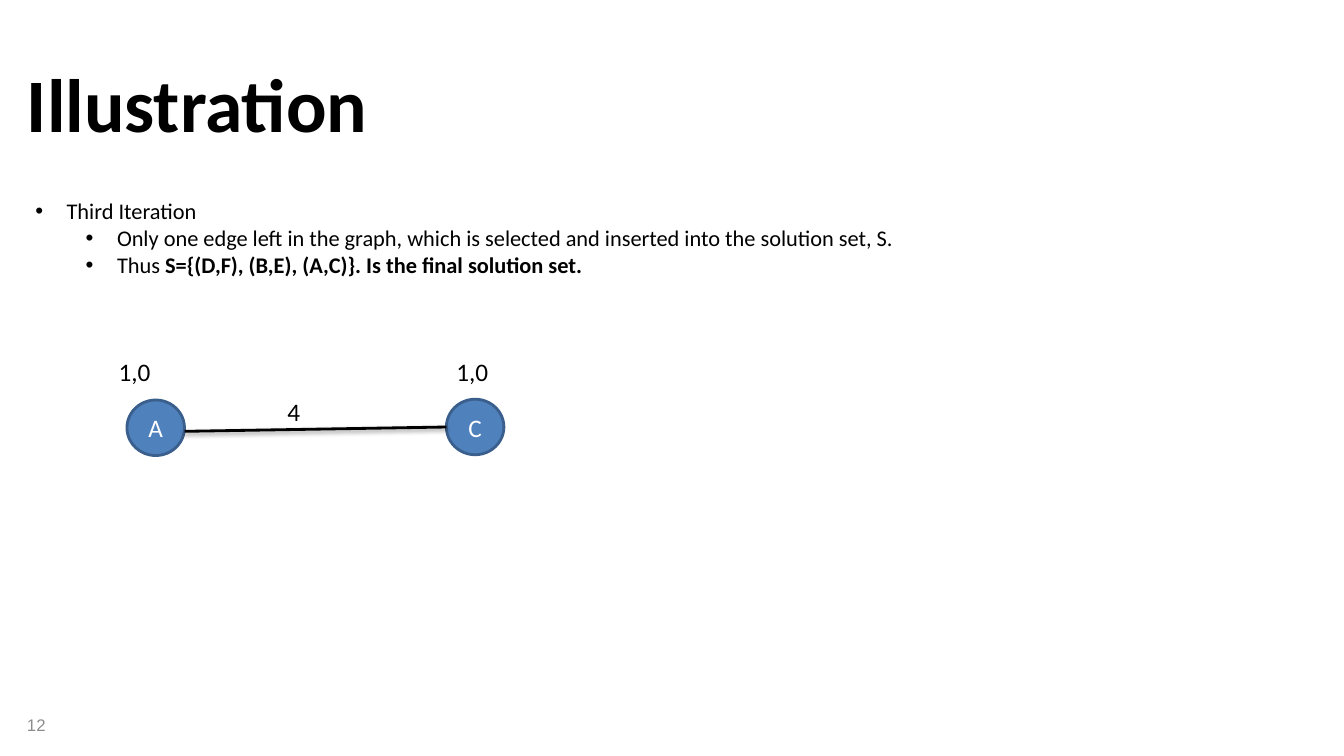
from dataclasses import dataclass

import lxml.etree
import pptx
import pptx.dml.color
import pptx.enum.shapes
import pptx.enum.text
import pptx.oxml
import pptx.oxml.ns
import pptx.util

Cm = pptx.util.Cm
Pt = pptx.util.Pt
RGBColor = pptx.dml.color.RGBColor
Anchor = pptx.enum.text.MSO_ANCHOR

BLACK = RGBColor(0x00, 0x00, 0x00)
WHITE = RGBColor(0xFF, 0xFF, 0xFF)
GREY = RGBColor(0x8C, 0x8C, 0x8C)
NODE_FILL = RGBColor(0x4F, 0x81, 0xBD)
NODE_LINE = RGBColor(0x3A, 0x5F, 0x8C)

NODE_WIDTH, NODE_HEIGHT = 1.45, 1.4
LABEL_WIDTH, LABEL_HEIGHT = 3.68, 1.04

TITLE = {"name": "Calibri", "size": Pt(54), "bold": True}
BODY = {"name": "Calibri", "size": Pt(16), "bold": False}
GRAPH = {"name": "Calibri", "size": Pt(18), "bold": False}
NUMBER = {"name": "Arial", "size": Pt(12), "bold": False}

EDGE_SHADOW = (
    f'<a:effectLst {pptx.oxml.ns.nsdecls("a")}>'
    '<a:outerShdw blurRad="40000" dist="20000" dir="5400000" rotWithShape="0">'
    '<a:srgbClr val="000000"><a:alpha val="38000"/></a:srgbClr>'
    "</a:outerShdw></a:effectLst>"
)


@dataclass(frozen=True)
class Caption:
    text: str
    left: float
    top: float
    width: float
    height: float
    style: dict
    color: RGBColor = BLACK
    anchor: Anchor = Anchor.TOP


@dataclass(frozen=True)
class Node:
    name: str
    left: float
    top: float


@dataclass(frozen=True)
class Bullet:
    level: int
    indent: float
    text: str
    bold_text: str = ""


CAPTIONS = [
    Caption("Illustration", 0.43, 1.3, 22.4, 2.57, TITLE),
    Caption("12", 0.43, 17.75, 10.72, 1.02, NUMBER, GREY, Anchor.MIDDLE),
    Caption("1,0", 11.25, 8.86, LABEL_WIDTH, LABEL_HEIGHT, GRAPH),
    Caption("1,0", 2.74, 8.86, LABEL_WIDTH, LABEL_HEIGHT, GRAPH),
    Caption("4", 6.99, 9.86, LABEL_WIDTH, LABEL_HEIGHT, GRAPH),
]
NODES = [Node("A", 3.2, 10.08), Node("C", 11.25, 10.06)]
BULLETS = [
    Bullet(0, 0.79, "Third Iteration"),
    Bullet(
        1,
        2.06,
        "Only one edge left in the graph, which is selected and inserted "
        "into the solution set, S.",
    ),
    Bullet(1, 2.06, "Thus ", "S={(D,F), (B,E), (A,C)}. Is the final solution set."),
]


def add_span(para, text: str, style: dict, color: RGBColor) -> None:
    span = para.add_run()
    span.text = text
    for attribute, value in style.items():
        setattr(span.font, attribute, value)
    span.font.color.rgb = color


def add_box(page, left: float, top: float, width: float, height: float):
    box = page.shapes.add_textbox(Cm(left), Cm(top), Cm(width), Cm(height))
    box.text_frame.word_wrap = True
    return box


def draw_caption(page, caption: Caption) -> None:
    box = add_box(page, caption.left, caption.top, caption.width, caption.height)
    box.text_frame.vertical_anchor = caption.anchor
    add_span(box.text_frame.paragraphs[0], caption.text, caption.style, caption.color)


def set_bullet(para, indent: float) -> None:
    properties = para._p.get_or_add_pPr()
    properties.set("marL", str(Cm(indent)))
    properties.set("indent", str(-Cm(0.79)))
    qualified = pptx.oxml.ns.qn
    lxml.etree.SubElement(properties, qualified("a:buFont"), typeface="Arial")
    lxml.etree.SubElement(properties, qualified("a:buChar"), char="•")


def draw_bullets(page, bullets: list[Bullet]) -> None:
    frame = add_box(page, 0.64, 4.85, 33.23, 4.37).text_frame
    for index, bullet in enumerate(bullets):
        para = frame.add_paragraph() if index else frame.paragraphs[0]
        para.level = bullet.level
        set_bullet(para, bullet.indent)
        add_span(para, bullet.text, BODY, BLACK)
        if bullet.bold_text:
            add_span(para, bullet.bold_text, BODY | {"bold": True}, BLACK)


def draw_node(page, node: Node) -> None:
    oval = page.shapes.add_shape(
        pptx.enum.shapes.MSO_SHAPE.OVAL,
        Cm(node.left),
        Cm(node.top),
        Cm(NODE_WIDTH),
        Cm(NODE_HEIGHT),
    )
    oval.shadow.inherit = False
    oval.fill.solid()
    oval.fill.fore_color.rgb = NODE_FILL
    oval.line.color.rgb = NODE_LINE
    oval.line.width = Pt(2)
    oval.text_frame.vertical_anchor = Anchor.MIDDLE
    para = oval.text_frame.paragraphs[0]
    para.alignment = pptx.enum.text.PP_ALIGN.CENTER
    add_span(para, node.name, GRAPH, WHITE)


def draw_edge(page, start: Node, end: Node) -> None:
    edge = page.shapes.add_connector(
        pptx.enum.shapes.MSO_CONNECTOR.STRAIGHT,
        Cm(start.left + NODE_WIDTH),
        Cm(10.87),
        Cm(end.left),
        Cm(end.top + NODE_HEIGHT / 2),
    )
    edge.line.color.rgb = BLACK
    edge.line.width = Pt(2)
    edge._element.spPr.append(pptx.oxml.parse_xml(EDGE_SHADOW))


def main() -> None:
    deck = pptx.Presentation()
    deck.slide_width = Cm(33.87)
    deck.slide_height = Cm(19.05)
    page = deck.slides.add_slide(deck.slide_layouts[6])
    draw_bullets(page, BULLETS)
    for node in NODES:
        draw_node(page, node)
    draw_edge(page, *NODES)
    for caption in CAPTIONS:
        draw_caption(page, caption)
    deck.save("out.pptx")


if __name__ == "__main__":
    main()
